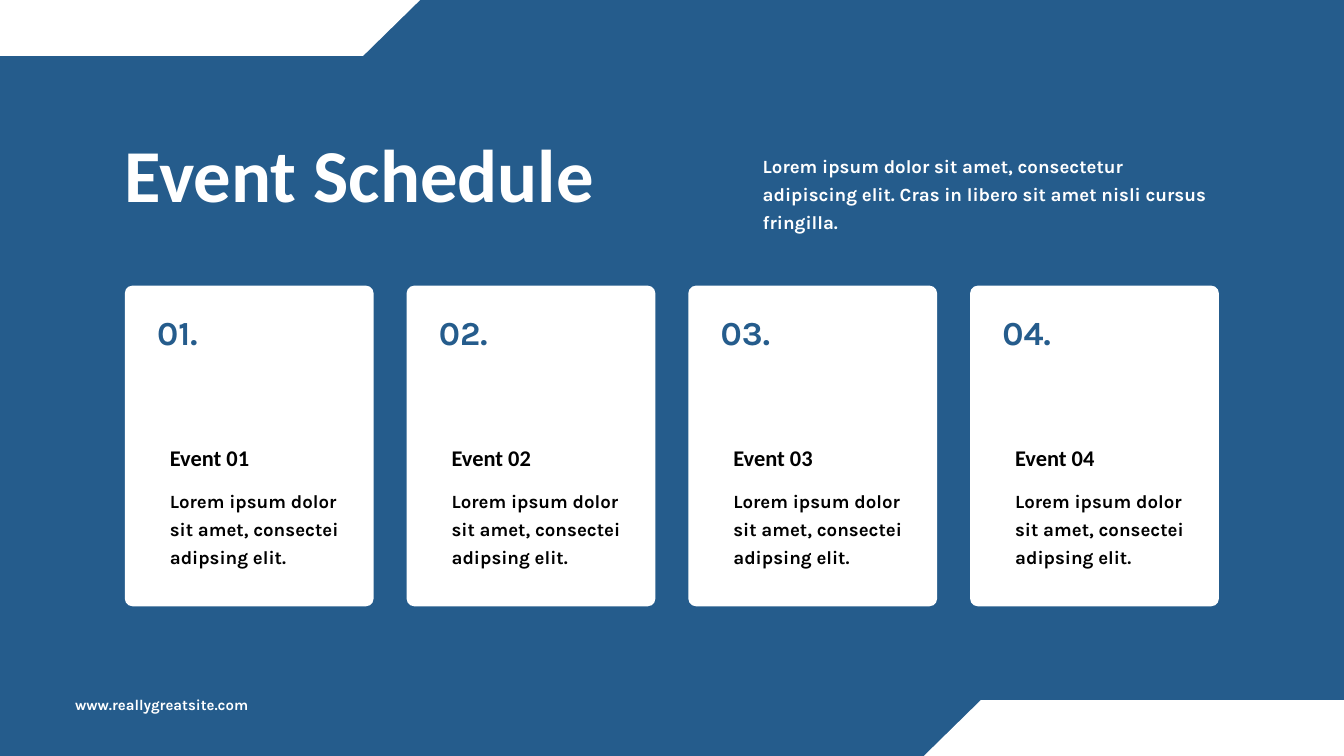
from pptx import Presentation
from pptx.dml.color import RGBColor
from pptx.enum.shapes import MSO_SHAPE
from pptx.util import Cm, Pt

BLUE = RGBColor(0x25, 0x5C, 0x8C)
WHITE = RGBColor(0xFF, 0xFF, 0xFF)
BLACK = RGBColor(0x00, 0x00, 0x00)

HEADING_FONT = "Calibri"
BODY_FONT = "Karla"

SLIDE_WIDTH, SLIDE_HEIGHT = 50.8, 28.58
BAND_WIDTH, BAND_HEIGHT, BAND_OVERHANG = 18.52, 2.11, 2.64
MARGIN = 4.72
CARD_TOP, CARD_WIDTH, CARD_HEIGHT, CARD_PITCH = 10.8, 9.4, 12.12, 10.65
CARD_COUNT = 4


def add_text(slide, text, left, top, width, height, font_name, size, spacing, color):
    box = slide.shapes.add_textbox(Cm(left), Cm(top), Cm(width), Cm(height))
    frame = box.text_frame
    frame.word_wrap = True
    frame.margin_left = frame.margin_right = 0
    frame.margin_top = frame.margin_bottom = 0
    paragraph = frame.paragraphs[0]
    paragraph.text = text
    paragraph.line_spacing = Pt(spacing)
    font = paragraph.font
    font.name = font_name
    font.size = Pt(size)
    font.bold = True
    font.color.rgb = color


def add_white_shape(slide, preset, left, top, width, height, adjustment):
    shape = slide.shapes.add_shape(preset, Cm(left), Cm(top), Cm(width), Cm(height))
    shape.adjustments[0] = adjustment
    shape.shadow.inherit = False
    shape.fill.solid()
    shape.fill.fore_color.rgb = WHITE
    shape.line.fill.background()


def add_corner_bands(slide):
    """Slanted bands that bleed off the top left and bottom right corners."""
    right_band = SLIDE_WIDTH + BAND_OVERHANG - BAND_WIDTH
    for left, top in ((-BAND_OVERHANG, 0), (right_band, SLIDE_HEIGHT - BAND_HEIGHT)):
        add_white_shape(slide, MSO_SHAPE.PARALLELOGRAM, left, top,
                        BAND_WIDTH, BAND_HEIGHT, 1.02)


def add_header(slide, left, top):
    add_text(slide, "Event Schedule", left, top, 22.07, 2.97,
             HEADING_FONT, 80, 80, WHITE)
    add_text(slide,
             "Lorem ipsum dolor sit amet, consectetur adipiscing elit. "
             "Cras in libero sit amet nisli cursus fringilla.",
             left + 24.11, top + 0.23, 17.27, 2.08, BODY_FONT, 20, 30, WHITE)


def add_event_card(slide, number, left, top, width, height):
    add_white_shape(slide, MSO_SHAPE.ROUNDED_RECTANGLE, left, top, width, height, 0.03)
    add_text(slide, f"{number:02}.", left + 1.22, top + 0.51, 3.05, 1.85,
             BODY_FONT, 36, 56.5, BLUE)
    add_text(slide, f"Event {number:02}", left + 1.7, top + 6.07, 6.02, 0.97,
             HEADING_FONT, 24, 26.4, BLACK)
    add_text(slide, "Lorem ipsum dolor sit amet, consectei adipsing elit.",
             left + 1.7, top + 7.49, 6.6, 3.15, BODY_FONT, 20, 30, BLACK)


def add_footer(slide, left, top):
    add_text(slide, "www.reallygreatsite.com", left, top, 8.38, 0.76,
             BODY_FONT, 16, 24, WHITE)


def main():
    presentation = Presentation()
    presentation.slide_width = Cm(SLIDE_WIDTH)
    presentation.slide_height = Cm(SLIDE_HEIGHT)
    slide = presentation.slides.add_slide(presentation.slide_layouts[6])
    slide.background.fill.solid()
    slide.background.fill.fore_color.rgb = BLUE

    add_corner_bands(slide)
    add_header(slide, MARGIN, 5.41)
    for index in range(CARD_COUNT):
        add_event_card(slide, index + 1, MARGIN + index * CARD_PITCH, CARD_TOP,
                       CARD_WIDTH, CARD_HEIGHT)
    add_footer(slide, 2.84, 26.14)

    presentation.save("out.pptx")


if __name__ == "__main__":
    main()
